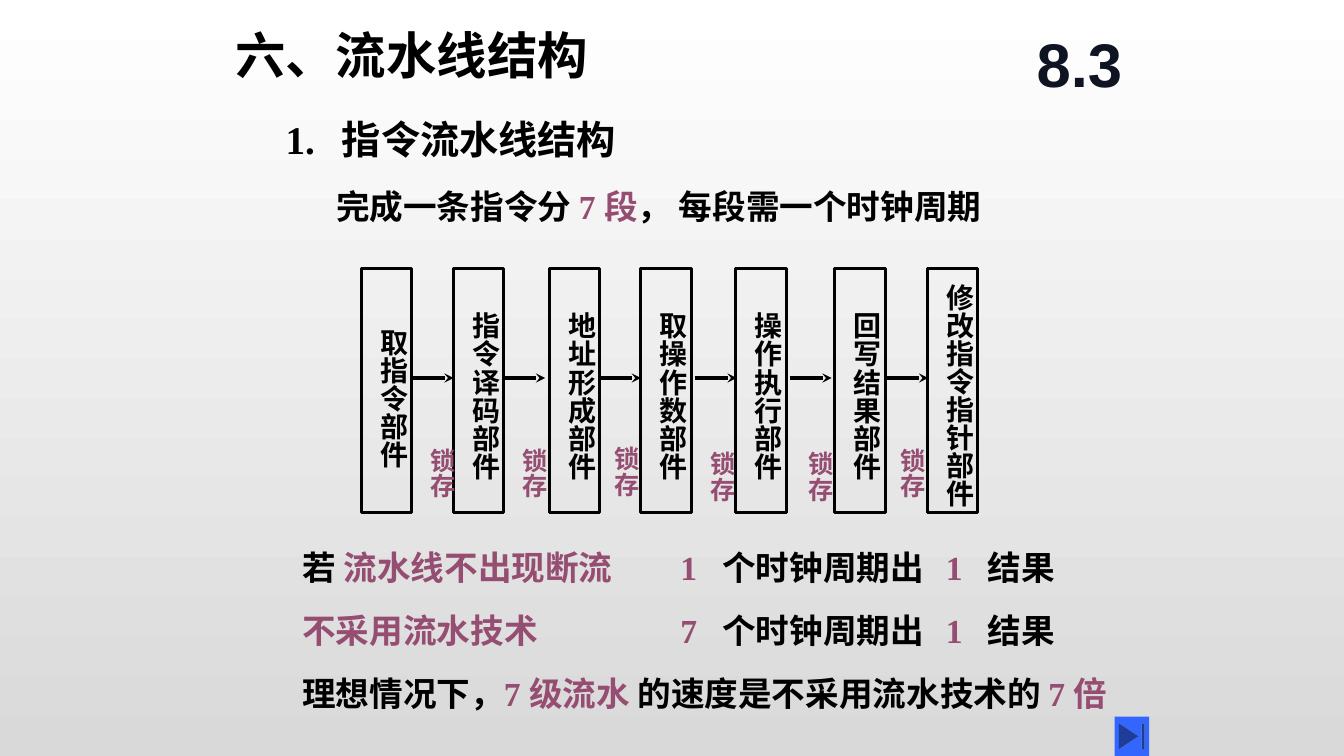
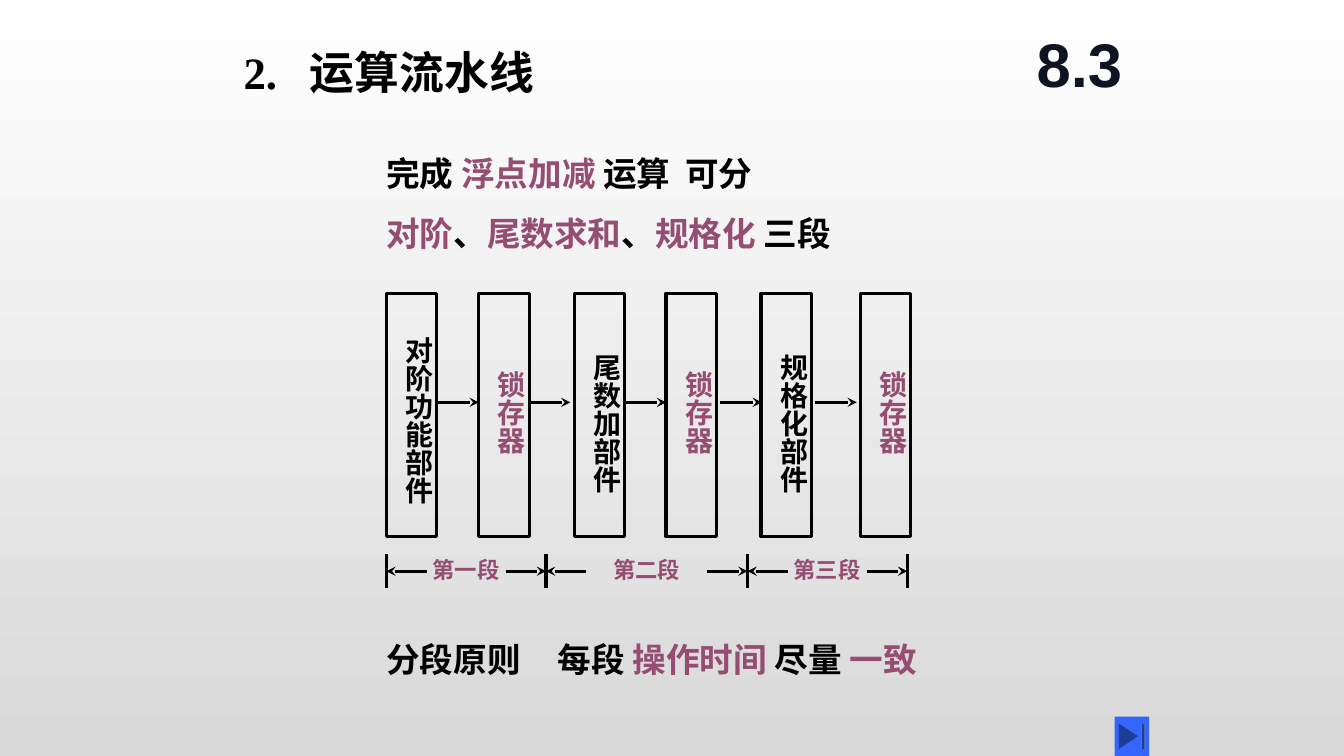
from lxml import etree
from pptx import Presentation
from pptx import util as u
from pptx.dml.color import RGBColor
from pptx.enum import shapes, text
from pptx.oxml.ns import qn

# Grid: 160 columns by 90 rows of square cells
CELL = u.Pt(6)
COLS, ROWS = 160, 90

BLACK = RGBColor(0x00, 0x00, 0x00)
PLUM = RGBColor(0x95, 0x4D, 0x72)
NAVY = RGBColor(0x0F, 0x14, 0x23)
BLUE = RGBColor(0x33, 0x66, 0xFF)
WHITE = RGBColor(0xFF, 0xFF, 0xFF)
GREY = RGBColor(0xD9, 0xD9, 0xD9)
SERIF, SANS = "Times New Roman", "Arial"
LINE = u.Pt(2.25)

# Pipeline layout, in cells from the left or top of the first stage
STAGE_W, STAGE_H = 6, 29
STAGE_COLS = (0, 11, 22.4, 33.3, 44.6, 56.4, 67.4)
ARROW_COLS = (6, 16.9, 28.3, 39.7, 51, 62.5)
ARROW_W, ARROW_DROP = 5, 13
LABEL_DROP = {3: 8.1, 5: 6, 6: 4, 8: 0.6}  # by number of characters


def g(cells):
    return u.Emu(round(cells * CELL))


def add_run(p, words, size, colour, font=SERIF):
    r = p.add_run()
    r.text = words
    r.font.size, r.font.name, r.font.bold = u.Pt(size), font, True
    r.font.color.rgb = colour


def add_box(slide, col, row, w, h, wrap=False):
    tf = slide.shapes.add_textbox(g(col), g(row), g(w), g(h)).text_frame
    tf.word_wrap = wrap
    return tf


def add_lines(slide, col, row, w, h, size, *lines, tabs=(), spacing=None):
    """Middle-anchored text; each line is a list of (words, colour)."""
    tf = add_box(slide, col, row, w, h)
    tf.margin_left = tf.margin_right = 0
    tf.vertical_anchor = text.MSO_ANCHOR.MIDDLE
    for i, runs in enumerate(lines):
        p = tf.add_paragraph() if i else tf.paragraphs[0]
        if tabs:
            tab_list = etree.SubElement(p._p.get_or_add_pPr(), qn("a:tabLst"))
            for stop in tabs:
                etree.SubElement(tab_list, qn("a:tab"), pos=str(g(stop)), algn="l")
        if spacing:
            p.line_spacing = spacing
        for words, colour in runs:
            add_run(p, words, size, colour)


def add_vertical(slide, col, row, w, h, words, size, colour):
    tf = add_box(slide, col, row, w, h)
    tf.auto_size = text.MSO_AUTO_SIZE.SHAPE_TO_FIT_TEXT
    tf._txBody.bodyPr.set("vert", "eaVert")
    add_run(tf.paragraphs[0], words, size, colour)


def add_line(slide, x1, y1, x2, y2, arrow=False):
    c = slide.shapes.add_connector(shapes.MSO_CONNECTOR.STRAIGHT,
                                   g(x1), g(y1), g(x2), g(y2))
    c.line.color.rgb, c.line.width = BLACK, LINE
    if arrow:
        etree.SubElement(c.line._get_or_add_ln(), qn("a:tailEnd"), type="stealth")
    etree.SubElement(c._element.spPr, qn("a:effectLst"))


def add_pipeline(slide, col, row, stages):
    for (words, colour), dx in zip(stages, STAGE_COLS):
        n = len(words)
        add_vertical(slide, col + dx - 0.1, row + LABEL_DROP[n],
                     6.5, 3.36 * n + 1.1, words, 20, colour)
        sp = slide.shapes.add_shape(shapes.MSO_SHAPE.RECTANGLE, g(col + dx), g(row),
                                    g(STAGE_W), g(STAGE_H))
        sp.shadow.inherit = False
        sp.fill.background()
        sp.line.color.rgb, sp.line.width = BLACK, LINE
    for dx in ARROW_COLS[:len(stages) - 1]:
        x, y = col + dx, row + ARROW_DROP
        add_line(slide, x, y, x + ARROW_W, y, arrow=True)


def add_spans(slide, row, ticks, names):
    """Dimension line: a tick at each border, a name between two arrows."""
    mid, reach = row + 2, 4.8
    for x in ticks:
        add_line(slide, x, row, x, row + 4)
    for left, right, name in zip(ticks, ticks[1:], names):
        add_line(slide, left + reach, mid, left, mid, arrow=True)
        add_line(slide, right - reach, mid, right, mid, arrow=True)
        w = 10.4
        tf = add_box(slide, (left + right - w) / 2, row - 0.4, w, 4.4)
        add_run(tf.paragraphs[0], name, 16, PLUM)


def add_slide(prs):
    """Blank slide with the section number and the end button."""
    slide = prs.slides.add_slide(prs.slide_layouts[6])
    tf = add_box(slide, 121, 2, 15, 11, wrap=True)
    tf.vertical_anchor = text.MSO_ANCHOR.MIDDLE
    p = tf.paragraphs[0]
    p.alignment = text.PP_ALIGN.CENTER
    add_run(p, "8.3", 44, NAVY, SANS)
    sp = slide.shapes.add_shape(shapes.MSO_SHAPE.ACTION_BUTTON_END,
                                g(132.7), g(85.3), g(4.1), g(4.7))
    sp.shadow.inherit = False
    sp.fill.solid()
    sp.fill.fore_color.rgb = BLUE
    sp.line.fill.background()
    return slide


def set_background(prs):
    fill = prs.slide_master.background.fill
    fill.gradient()
    fill.gradient_angle = 270
    for stop, colour in zip(fill.gradient_stops, (WHITE, GREY)):
        stop.color.rgb = colour


def instruction_slide(prs):
    s = add_slide(prs)
    # Headings
    add_lines(s, 28, 3, 71, 7, 36, [("六、流水线结构", BLACK)])
    add_lines(s, 34, 13, 44, 7, 28, [("1.\t指令流水线结构", BLACK)], tabs=[6.7])
    add_lines(s, 40, 21, 86, 7, 24, [("完成一条指令分 ", BLACK), ("7 段", PLUM),
                                     ("， 每段需一个时钟周期", BLACK)])
    # Seven stages with latches between them
    stages = ("取指令部件", "指令译码部件", "地址形成部件", "取操作数部件",
              "操作执行部件", "回写结果部件", "修改指令指针部件")
    add_pipeline(s, 43, 32, [(name, BLACK) for name in stages])
    for col, row in zip((49, 60, 70.9, 82.4, 94, 105),
                        (52.2, 52.2, 52, 52.6, 52.6, 52.2)):
        add_vertical(s, col, row, 6, 7.2, "锁存", 18, PLUM)
    # Throughput comparison
    cases = ([("若 ", BLACK), ("流水线不出现断流", PLUM)], "1"), ([("不采用流水技术", PLUM)], "7")
    for i, (condition, cycles) in enumerate(cases):
        row = 64 + 7.5 * i
        add_lines(s, 36, row, 44, 7, 24, condition)
        add_lines(s, 81, row, 45, 7, 24,
                  [(cycles + "\t", PLUM), ("个时钟周期出\t", BLACK),
                   ("1\t", PLUM), ("结果", BLACK)], tabs=[5, 31.6, 36.6])
    add_lines(s, 36, 79, 100, 7, 24,
              [("理想情况下，", BLACK), ("7 级流水 ", PLUM),
               ("的速度是不采用流水技术的 ", BLACK), ("7 倍", PLUM)])


def arithmetic_slide(prs):
    s = add_slide(prs)
    # Headings
    add_lines(s, 29, 5, 44, 7, 32, [("2.\t运算流水线", BLACK)], tabs=[7.9])
    add_lines(s, 46, 15, 85, 16, 24,
              [("完成 ", BLACK), ("浮点加减 ", PLUM), ("运算\t可分", BLACK)],
              [("对阶", PLUM), ("、", BLACK), ("尾数求和", PLUM), ("、", BLACK),
               ("规格化 ", PLUM), ("三段", BLACK)], tabs=[35.6], spacing=1.5)
    # Three units, each followed by a latch
    stages = []
    for unit in ("对阶功能部件", "尾数加部件", "规格化部件"):
        stages += [(unit, BLACK), ("锁存器", PLUM)]
    add_pipeline(s, 46, 34.9, stages)
    add_spans(s, 66, (46, 65, 89, 108), ("第一段", "第二段", "第三段"))
    # Principle
    add_lines(s, 46, 75, 75, 7, 24,
              [("分段原则\t每段 ", BLACK), ("操作时间 ", PLUM),
               ("尽量 ", BLACK), ("一致", PLUM)], tabs=[20.4])


def main():
    prs = Presentation()
    prs.slide_width, prs.slide_height = g(COLS), g(ROWS)
    set_background(prs)
    instruction_slide(prs)
    arithmetic_slide(prs)
    prs.save("out.pptx")


if __name__ == "__main__":
    main()
